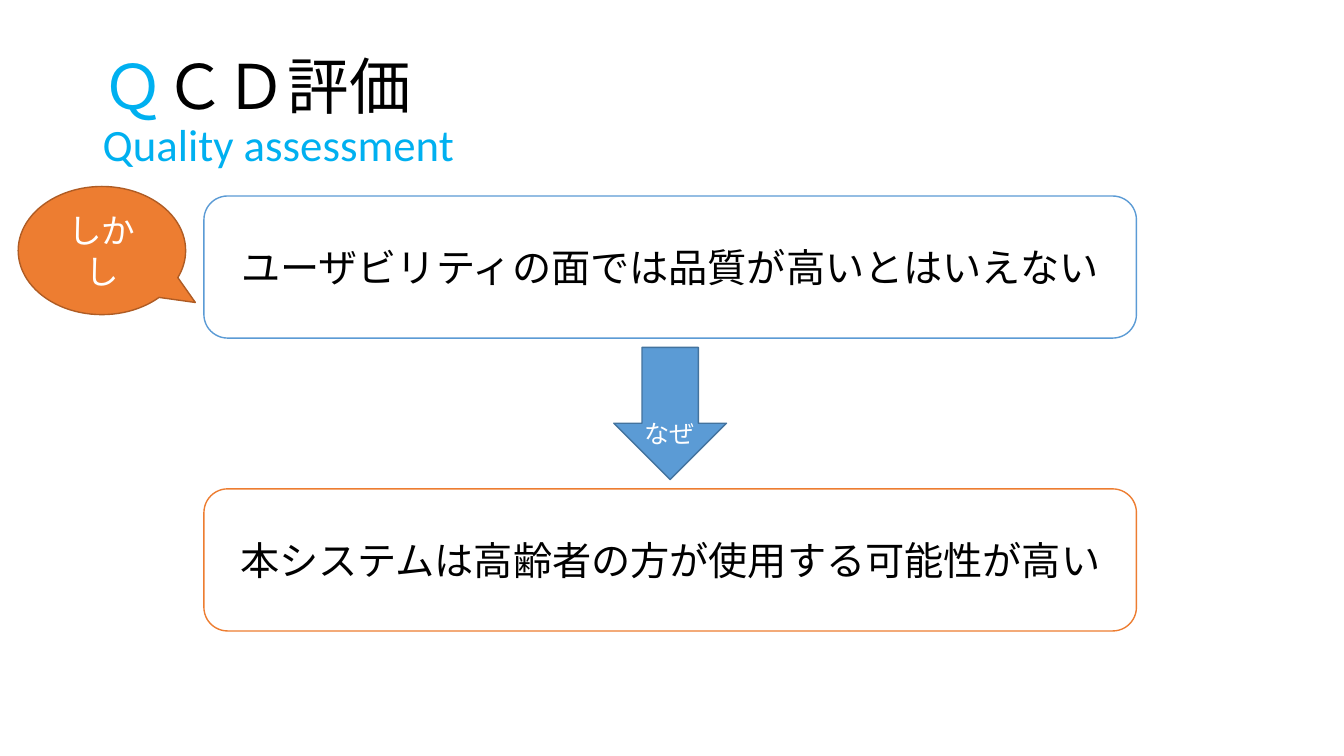
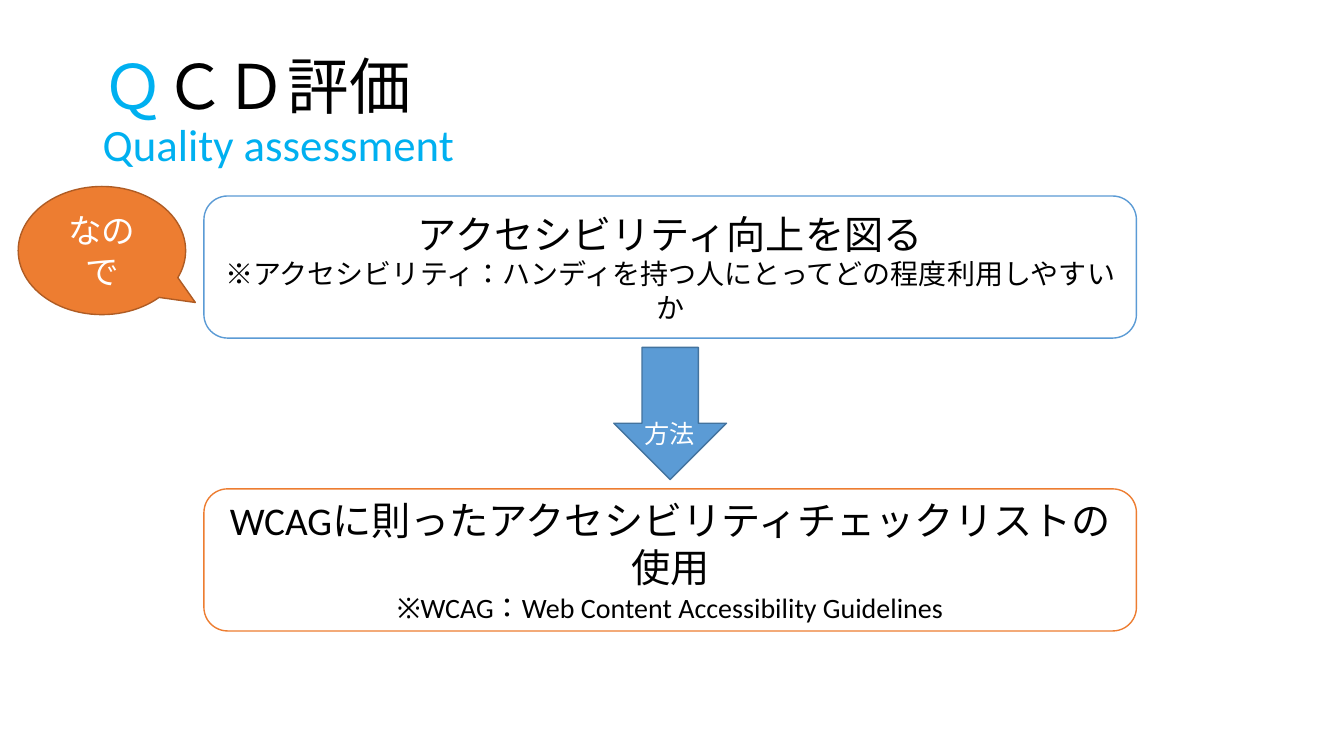
"""Build two QCD quality assessment slides that share one claim, arrow and answer layout."""
from dataclasses import dataclass

from pptx import Presentation
from pptx.dml.color import RGBColor
from pptx.enum.lang import MSO_LANGUAGE_ID
from pptx.enum.shapes import MSO_SHAPE
from pptx.enum.text import MSO_ANCHOR, MSO_AUTO_SIZE, PP_ALIGN
from pptx.util import Cm, Pt

HEADING = ("Ｑ", "ＣＤ評価", "Quality assessment")

SLIDES = [
    {
        "callout": "しかし",
        "claim": ["ユーザビリティの面では品質が高いとはいえない"],
        "link": "なぜ",
        "answer": ["本システムは高齢者の方が使用する可能性が高い"],
    },
    {
        "callout": "なので",
        "claim": [
            "アクセシビリティ向上を図る",
            "※アクセシビリティ：ハンディを持つ人にとってどの程度利用しやすいか",
        ],
        "link": "方法",
        "answer": [
            "WCAGに則ったアクセシビリティチェックリストの使用",
            "※WCAG：Web Content Accessibility Guidelines",
        ],
    },
]


@dataclass(frozen=True)
class Theme:
    """Colours and type sizes of the deck."""

    font: str = "Calibri"
    black: str = "000000"
    white: str = "FFFFFF"
    accent: str = "00B0F0"
    blue: str = "5B9BD5"
    blue_edge: str = "43739E"
    orange: str = "ED7D31"
    orange_edge: str = "AF5C24"
    title: int = 44
    subtitle: int = 32
    statement: int = 28
    callout: int = 24
    note: int = 20
    link: int = 18


THEME = Theme()
SLIDE_SIZE = (33.87, 19.05)
HEADING_AREA = (2.34, 1.02, 29.21, 3.68)
BOX_LEFT, BOX_WIDTH, BOX_HEIGHT = 5.14, 23.5, 3.58
CLAIM_TOP, ANSWER_TOP = 4.94, 12.32
CALLOUT_AREA = (0.46, 4.7, 4.22, 3.23)
CALLOUT_TIP = (0.558, 0.405)
ARROW_WIDTH, ARROW_HEIGHT = 2.84, 3.33
LINK_WIDTH, LINK_HEIGHT, LINK_DROP = 1.8, 1.02, 1.65


def lengths(area):
    """Turn numbers in centimetres into lengths."""
    return [Cm(value) for value in area]


def add_run(paragraph, text, size, color):
    """Add one styled run to a paragraph."""
    run = paragraph.add_run()
    run.text = text
    run.font.name = THEME.font
    run.font.size = Pt(size)
    run.font.color.rgb = RGBColor.from_string(color)
    run.font.language_id = MSO_LANGUAGE_ID.JAPANESE


def add_panel(slide, preset, area, fill, edge, lines=()):
    """Add a filled shape with centred lines of (text, size, colour)."""
    panel = slide.shapes.add_shape(preset, *lengths(area))
    panel.shadow.inherit = False
    panel.fill.solid()
    panel.fill.fore_color.rgb = RGBColor.from_string(fill)
    panel.line.color.rgb = RGBColor.from_string(edge)
    panel.line.width = Pt(1)
    frame = panel.text_frame
    frame.word_wrap = True
    frame.vertical_anchor = MSO_ANCHOR.MIDDLE
    for index, line in enumerate(lines):
        paragraph = frame.add_paragraph() if index else frame.paragraphs[0]
        paragraph.alignment = PP_ALIGN.CENTER
        add_run(paragraph, *line)
    return panel


def add_heading(slide):
    """Add the two-line heading that every slide carries."""
    initial, remainder, subtitle = HEADING
    frame = slide.shapes.add_textbox(*lengths(HEADING_AREA)).text_frame
    frame.word_wrap = True
    frame.vertical_anchor = MSO_ANCHOR.MIDDLE
    paragraph = frame.paragraphs[0]
    paragraph.line_spacing = 0.9
    add_run(paragraph, initial, THEME.title, THEME.accent)
    add_run(paragraph, remainder, THEME.title, THEME.black)
    paragraph.add_line_break()
    add_run(paragraph, subtitle, THEME.subtitle, THEME.accent)


def add_statement(slide, top, edge, texts):
    """Add a rounded box with a statement and an optional note."""
    sizes = (THEME.statement, THEME.note)
    lines = [(text, size, THEME.black) for text, size in zip(texts, sizes)]
    area = (BOX_LEFT, top, BOX_WIDTH, BOX_HEIGHT)
    add_panel(slide, MSO_SHAPE.ROUNDED_RECTANGLE, area, THEME.white, edge, lines)


def add_callout(slide, text):
    """Add the speech bubble that points at the claim."""
    bubble = add_panel(slide, MSO_SHAPE.OVAL_CALLOUT, CALLOUT_AREA, THEME.orange,
                       THEME.orange_edge, [(text, THEME.callout, THEME.white)])
    for index, offset in enumerate(CALLOUT_TIP):
        bubble.adjustments[index] = offset


def add_link(slide, text):
    """Add the arrow centred between the two boxes, with its label."""
    center = BOX_LEFT + BOX_WIDTH / 2
    top = (CLAIM_TOP + BOX_HEIGHT + ANSWER_TOP - ARROW_HEIGHT) / 2
    arrow_area = (center - ARROW_WIDTH / 2, top, ARROW_WIDTH, ARROW_HEIGHT)
    add_panel(slide, MSO_SHAPE.DOWN_ARROW, arrow_area, THEME.blue, THEME.blue_edge)
    label_area = (center - LINK_WIDTH / 2, top + LINK_DROP, LINK_WIDTH, LINK_HEIGHT)
    frame = slide.shapes.add_textbox(*lengths(label_area)).text_frame
    frame.word_wrap = False
    frame.auto_size = MSO_AUTO_SIZE.SHAPE_TO_FIT_TEXT
    add_run(frame.paragraphs[0], text, THEME.link, THEME.white)


def build():
    """Build every slide and save the deck."""
    deck = Presentation()
    deck.slide_width, deck.slide_height = lengths(SLIDE_SIZE)
    for content in SLIDES:
        slide = deck.slides.add_slide(deck.slide_layouts[6])
        add_heading(slide)
        add_statement(slide, CLAIM_TOP, THEME.blue, content["claim"])
        add_statement(slide, ANSWER_TOP, THEME.orange, content["answer"])
        add_callout(slide, content["callout"])
        add_link(slide, content["link"])
    deck.save("out.pptx")


build()
